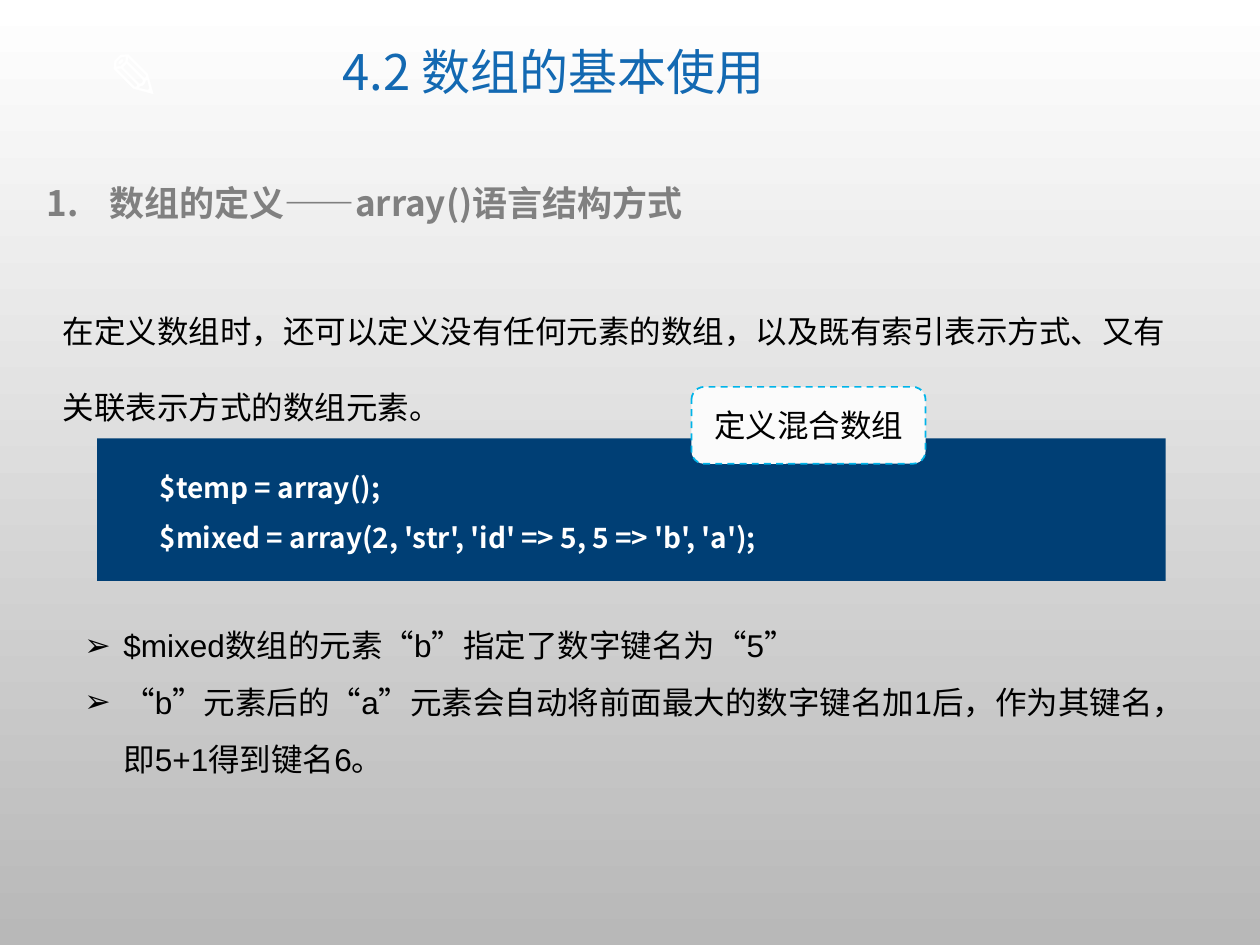
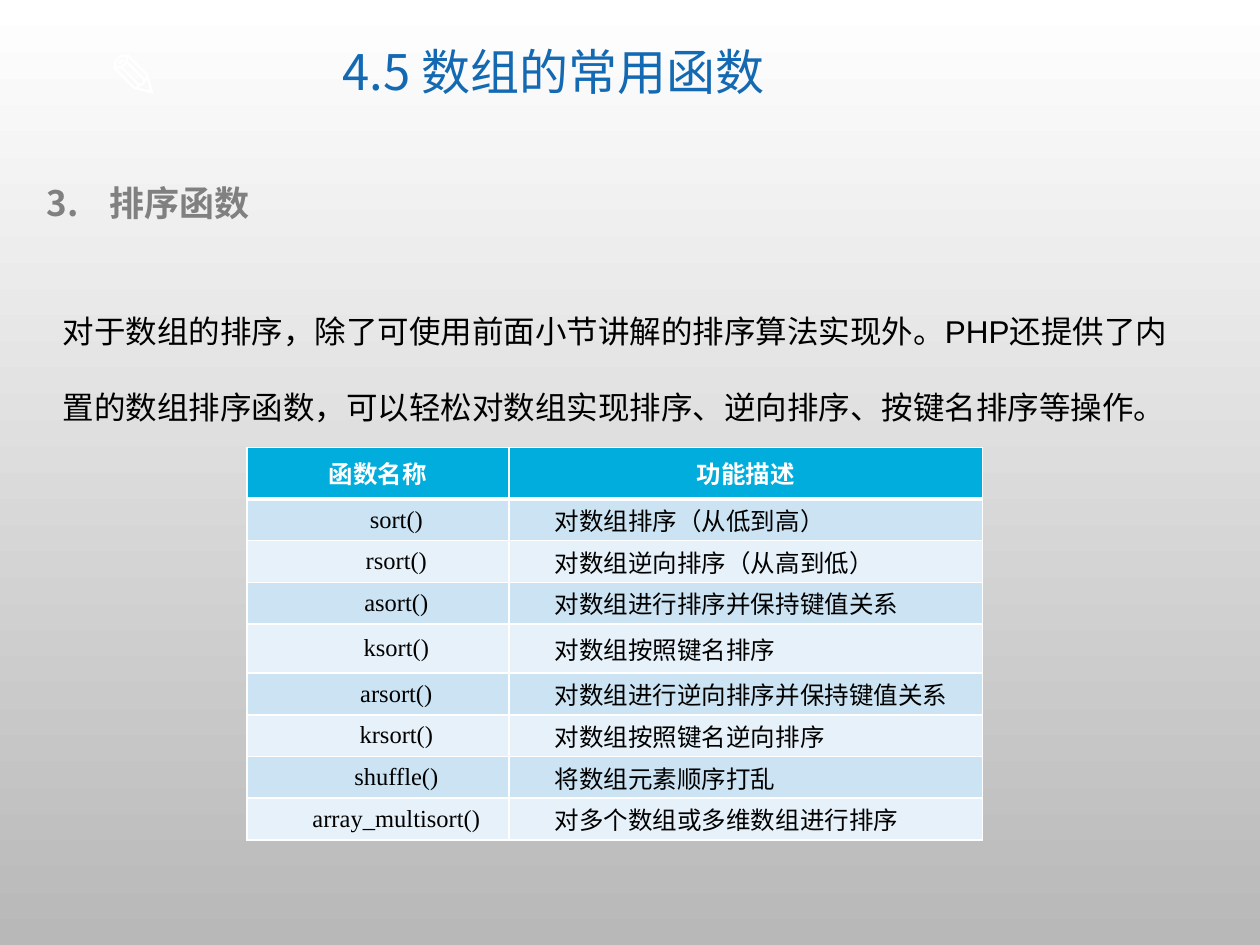
from dataclasses import dataclass
from itertools import groupby

from lxml.etree import SubElement
from pptx import Presentation
from pptx.dml.color import RGBColor
from pptx.enum.dml import MSO_LINE
from pptx.enum.shapes import MSO_SHAPE
from pptx.enum.text import MSO_ANCHOR, PP_ALIGN
from pptx.oxml import parse_xml
from pptx.oxml.ns import nsdecls, qn
from pptx.util import Cm, Pt

CJK = "Noto Sans CJK SC"
WHITE, BLACK = "FFFFFF", "000000"
BACKGROUND_END = "B8B8B8"
TITLE_BLUE, HEADING_GREY = "1369B2", "808080"
CODE_NAVY, LABEL_FILL, LABEL_EDGE = "003F75", "FBFBFB", "00B4E9"
HEADER_FILL, ROW_FILLS = "00ADDC", ("CBE3F2", "E7F1F9")
QUOTES = "“”"


@dataclass(frozen=True)
class Box:
    """A place on the slide, in centimetres."""
    left: float
    top: float
    width: float
    height: float

    def lengths(self) -> tuple:
        return Cm(self.left), Cm(self.top), Cm(self.width), Cm(self.height)


@dataclass(frozen=True)
class Style:
    size: float
    font: str = CJK
    color: str = BLACK
    bold: bool = False
    align: PP_ALIGN = PP_ALIGN.LEFT
    spacing: float = 1.0
    margin: float = 0
    indent: float = 0


@dataclass(frozen=True)
class Lesson:
    title: str
    number: int
    heading: str
    body: str


PENCIL = Style(36, color=WHITE, bold=True)
TITLE = Style(28, color=TITLE_BLUE, align=PP_ALIGN.CENTER, spacing=0.9)
HEADING = Style(20, color=HEADING_GREY, bold=True, margin=1.27, indent=-1.27)
BODY = Style(18, "Arial", spacing=2)
CODE = Style(16, color=WHITE, bold=True, spacing=1.5)
NOTE = Style(18, "Arial", spacing=1.5, margin=0.79, indent=-0.79)
LABEL = Style(18, "Calibri", align=PP_ALIGN.CENTER)
HEADER_CELL = Style(14, "Roboto", WHITE, True, PP_ALIGN.CENTER)
NAME_CELL = Style(14, "Times New Roman", align=PP_ALIGN.CENTER, indent=0.74)
USE_CELL = Style(14, indent=0.74)

DEFINITION = Lesson(
    "4.2 数组的基本使用", 1, "数组的定义——array()语言结构方式",
    "在定义数组时，还可以定义没有任何元素的数组，以及既有索引表示方式、又有关联表示方式的数组元素。")
SORTING = Lesson(
    "4.5 数组的常用函数", 3, "排序函数",
    "对于数组的排序，除了可使用前面小节讲解的排序算法实现外。PHP还提供了内置的数组排序函数，"
    "可以轻松对数组实现排序、逆向排序、按键名排序等操作。")

CODE_LINES = ["$temp = array();", "$mixed = array(2, 'str', 'id' => 5, 5 => 'b', 'a');"]
NOTES = [
    "$mixed数组的元素“b”指定了数字键名为“5”",
    "“b”元素后的“a”元素会自动将前面最大的数字键名加1后，作为其键名，即5+1得到键名6。",
]
SORT_FUNCTIONS = [
    ("函数名称", "功能描述"),
    ("sort()", "对数组排序（从低到高）"),
    ("rsort()", "对数组逆向排序（从高到低）"),
    ("asort()", "对数组进行排序并保持键值关系"),
    ("ksort()", "对数组按照键名排序"),
    ("arsort()", "对数组进行逆向排序并保持键值关系"),
    ("krsort()", "对数组按照键名逆向排序"),
    ("shuffle()", "将数组元素顺序打乱"),
    ("array_multisort()", "对多个数组或多维数组进行排序"),
]
COLUMN_WIDTHS = (5.28, 9.55)
ROW_HEIGHT = 0.84
TALL_ROWS = {0: 1.04, 4: 0.99}


def rgb(color: str) -> RGBColor:
    return RGBColor.from_string(color)


def write(frame, lines: list[str], style: Style, bullet: str = "", start: int = 0) -> None:
    """Fill a text frame; bullet is a character, start the first automatic number."""
    for index, line in enumerate(lines):
        paragraph = frame.paragraphs[0] if index == 0 else frame.add_paragraph()
        paragraph.alignment = style.align
        paragraph.line_spacing = style.spacing
        properties = paragraph._p.get_or_add_pPr()
        properties.set("marL", str(Cm(style.margin)))
        properties.set("indent", str(Cm(style.indent)))
        if bullet:
            SubElement(properties, qn("a:buFont"), typeface="Arial")
            SubElement(properties, qn("a:buChar"), char=bullet)
        elif start:
            SubElement(properties, qn("a:buAutoNum"), type="arabicPeriod", startAt=str(start))
        for quoted, letters in groupby(line, key=lambda letter: letter in QUOTES):
            run = paragraph.add_run()
            run.text = "".join(letters)
            run.font.size = Pt(style.size)
            run.font.bold = style.bold
            run.font.color.rgb = rgb(style.color)
            run.font.name = CJK if quoted else style.font
            SubElement(run._r.get_or_add_rPr(), qn("a:ea"), typeface=CJK)


def add_text(slide, box: Box, lines: list[str], style: Style, bullet: str = "",
             start: int = 0, wrap: bool = True, anchor: MSO_ANCHOR = MSO_ANCHOR.TOP) -> None:
    frame = slide.shapes.add_textbox(*box.lengths()).text_frame
    frame.word_wrap = wrap
    frame.vertical_anchor = anchor
    write(frame, lines, style, bullet, start)


def add_panel(slide, kind: MSO_SHAPE, box: Box, fill: str):
    panel = slide.shapes.add_shape(kind, *box.lengths())
    panel.shadow.inherit = False
    panel.fill.solid()
    panel.fill.fore_color.rgb = rgb(fill)
    panel.line.fill.background()
    return panel


def add_lesson_slide(deck, lesson: Lesson):
    """Add a slide with the background, title, heading and opening text."""
    slide = deck.slides.add_slide(deck.slide_layouts[6])
    fill = slide.background.fill
    fill.gradient()
    fill.gradient_angle = 270
    for stop, color in zip(fill.gradient_stops, (WHITE, BACKGROUND_END)):
        stop.color.rgb = rgb(color)
    add_text(slide, Box(1.93, 0.61, 2.18, 1.8), ["✎"], PENCIL, wrap=False)
    add_text(slide, Box(4.6, 0.43, 13.11, 2.16), [lesson.title], TITLE, anchor=MSO_ANCHOR.MIDDLE)
    add_text(slide, Box(0.69, 3.53, 23.42, 1.12), [lesson.heading], HEADING, start=lesson.number)
    add_text(slide, Box(1.02, 5.41, 23.34, 3.1), [lesson.body], BODY)
    return slide


def add_code_example(slide) -> None:
    add_panel(slide, MSO_SHAPE.RECTANGLE, Box(1.96, 8.84, 21.54, 2.87), CODE_NAVY)
    add_text(slide, Box(2.97, 9.02, 20.14, 2.18), CODE_LINES, CODE)
    add_text(slide, Box(1.45, 12.12, 22.99, 3.71), NOTES, NOTE, bullet="➢")
    label = add_panel(slide, MSO_SHAPE.ROUNDED_RECTANGLE, Box(13.94, 7.8, 4.72, 1.55), LABEL_FILL)
    label.line.color.rgb = rgb(LABEL_EDGE)
    label.line.width = Pt(1)
    label.line.dash_style = MSO_LINE.DASH
    label.text_frame.vertical_anchor = MSO_ANCHOR.MIDDLE
    write(label.text_frame, ["定义混合数组"], LABEL)


def set_borders(cell, top: float, bottom: float) -> None:
    """Draw white borders; top and bottom are widths in points, the sides are 1."""
    properties = cell._tc.get_or_add_tcPr()
    for index, (side, width) in enumerate((("L", 1), ("R", 1), ("T", top), ("B", bottom))):
        properties.insert(index, parse_xml(
            f'<a:ln{side} {nsdecls("a")} w="{Pt(width)}"><a:solidFill>'
            f'<a:srgbClr val="{WHITE}"/></a:solidFill></a:ln{side}>'))


def add_function_table(slide) -> None:
    heights = [TALL_ROWS.get(row, ROW_HEIGHT) for row in range(len(SORT_FUNCTIONS))]
    box = Box(4.98, 9.02, sum(COLUMN_WIDTHS), sum(heights))
    table = slide.shapes.add_table(len(heights), len(COLUMN_WIDTHS), *box.lengths()).table
    table.horz_banding = False
    for column, width in zip(table.columns, COLUMN_WIDTHS):
        column.width = Cm(width)
    for index, (row, texts) in enumerate(zip(table.rows, SORT_FUNCTIONS)):
        row.height = Cm(heights[index])
        is_header = index == 0
        styles = (HEADER_CELL, HEADER_CELL) if is_header else (NAME_CELL, USE_CELL)
        for cell, text, style in zip(row.cells, texts, styles):
            cell.margin_left = cell.margin_right = Cm(0.2 if is_header else 0.18)
            cell.margin_top = cell.margin_bottom = 0
            cell.vertical_anchor = MSO_ANCHOR.MIDDLE
            cell.fill.solid()
            cell.fill.fore_color.rgb = rgb(HEADER_FILL if is_header else ROW_FILLS[(index - 1) % 2])
            set_borders(cell, top=3 if index == 1 else 1, bottom=3 if is_header else 1)
            write(cell.text_frame, [text], style)


def main() -> None:
    deck = Presentation()
    deck.slide_width, deck.slide_height = Cm(25.4), Cm(19.05)
    add_code_example(add_lesson_slide(deck, DEFINITION))
    add_function_table(add_lesson_slide(deck, SORTING))
    deck.save("out.pptx")


if __name__ == "__main__":
    main()
